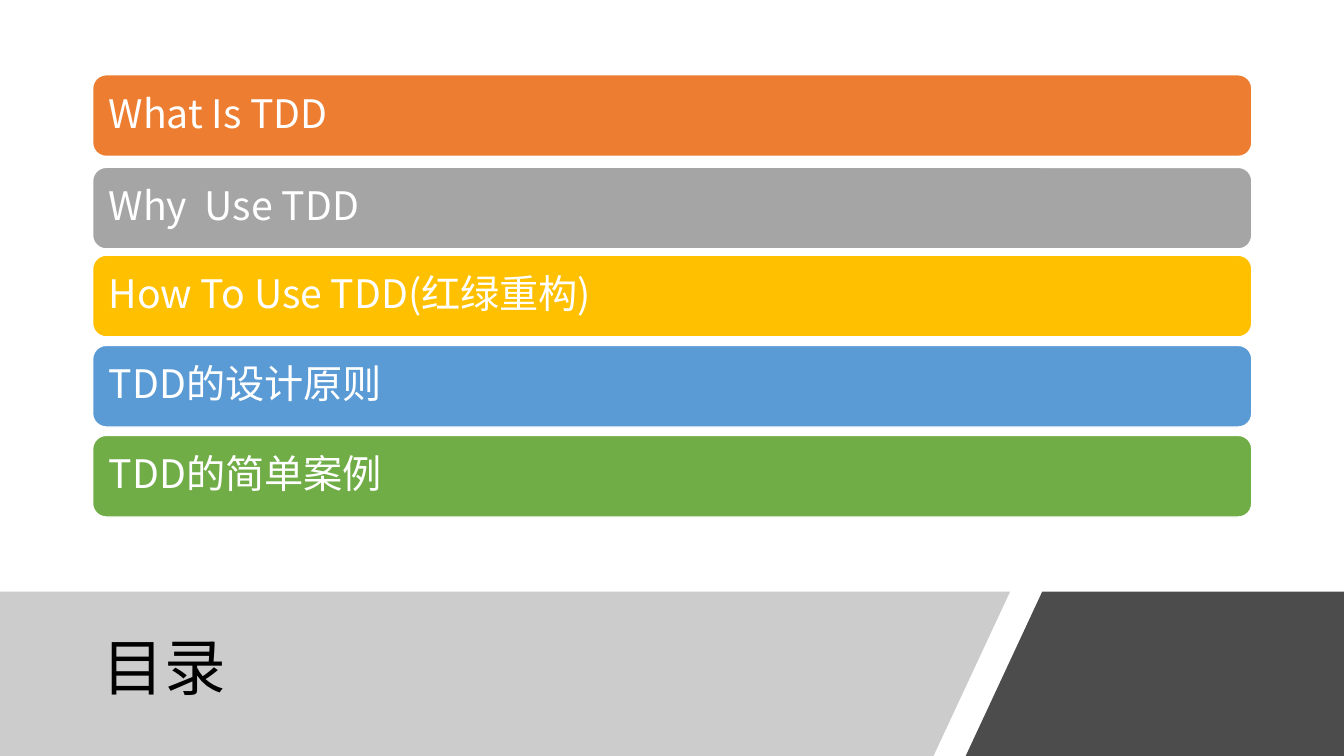
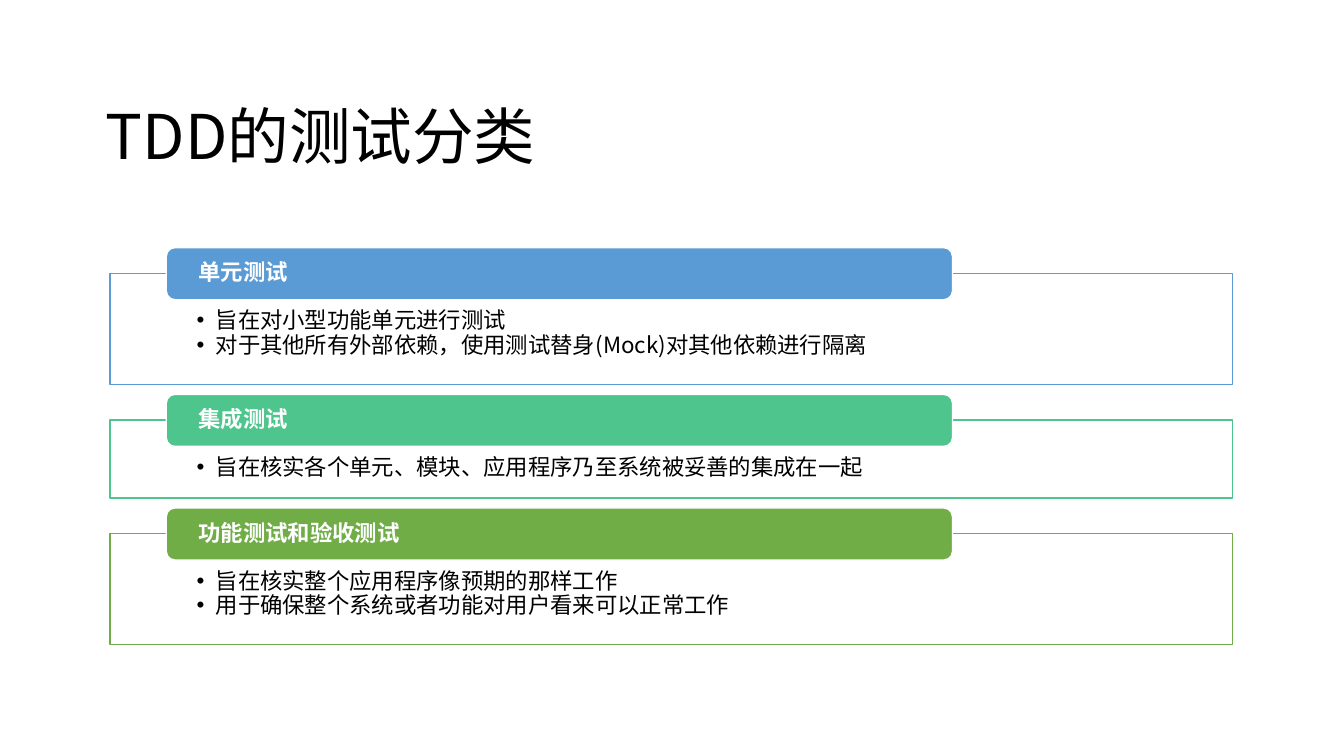
from dataclasses import dataclass
from typing import Optional, Sequence

import lxml.etree
import pptx
import pptx.dml.color
import pptx.dml.fill
import pptx.enum.shapes
import pptx.enum.text
import pptx.oxml.ns
import pptx.shapes.autoshape
import pptx.slide
import pptx.text.text
import pptx.util

Pt = pptx.util.Pt
qn = pptx.oxml.ns.qn
Shape = pptx.shapes.autoshape.Shape
Slide = pptx.slide.Slide


@dataclass(frozen=True)
class Theme:
    """Page size, colours and type shared by all slides."""
    page_width: float = 960
    page_height: float = 540
    font: str = "Noto Sans CJK SC"
    title_size: float = 44
    agenda_size: float = 28
    detail_size: float = 16
    line_spacing: float = 0.9
    rule_width: float = 1
    ink: str = "000000"
    paper: str = "FFFFFF"
    band_gray: str = "808080"
    orange: str = "ED7D31"
    gray: str = "A5A5A5"
    gold: str = "FFC000"
    blue: str = "5B9BD5"
    green: str = "70AD47"
    mint: str = "4DC58D"


THEME = Theme()


@dataclass(frozen=True)
class Box:
    """A frame in points."""
    left: float
    top: float
    width: float
    height: float


@dataclass(frozen=True)
class Insets:
    """Text margins of a frame in points."""
    left: float
    top: float
    right: float
    bottom: float


@dataclass(frozen=True)
class Lettering:
    """Size, colour and weight of a text."""
    size: float
    color: str
    bold: bool = False


@dataclass(frozen=True)
class Band:
    """A slanted footer band."""
    corners: Sequence[tuple[float, float]]
    color: str
    opacity: int


@dataclass(frozen=True)
class AgendaItem:
    """A coloured bar of the agenda."""
    topic: str
    top: float
    color: str


@dataclass(frozen=True)
class TestKind:
    """A kind of test with its aims."""
    name: str
    color: str
    aims: Sequence[str]


TITLE_STYLE = Lettering(THEME.title_size, THEME.ink)
AGENDA_STYLE = Lettering(THEME.agenda_size, THEME.paper)
HEADING_STYLE = Lettering(THEME.detail_size, THEME.paper, bold=True)
AIM_STYLE = Lettering(THEME.detail_size, THEME.ink, bold=False)
TITLE_INSETS = Insets(7.2, 3.6, 7.2, 3.6)

BAND_TOP = 422.6
BAND_SLANT = 54.7
BAND_GAP = 23
BAND_SPLIT = 721.5
RIGHT_START = BAND_SPLIT + BAND_GAP
BANDS = (
    Band(((0, BAND_TOP), (BAND_SPLIT, BAND_TOP),
          (BAND_SPLIT - BAND_SLANT, THEME.page_height), (0, THEME.page_height)),
         THEME.band_gray, 40),
    Band(((RIGHT_START, BAND_TOP), (THEME.page_width, BAND_TOP),
          (THEME.page_width, THEME.page_height),
          (RIGHT_START - BAND_SLANT, THEME.page_height)),
         THEME.ink, 70),
)

AGENDA = (
    AgendaItem("What Is TDD", 53.4, THEME.orange),
    AgendaItem("Why  Use TDD", 119.5, THEME.gray),
    AgendaItem("How To Use TDD(红绿重构)", 182.3, THEME.gold),
    AgendaItem("TDD的设计原则", 246.7, THEME.blue),
    AgendaItem("TDD的简单案例", 311, THEME.green),
)

TEST_KINDS = (
    TestKind("单元测试", THEME.blue, (
        "旨在对小型功能单元进行测试",
        "对于其他所有外部依赖，使用测试替身(Mock)对其他依赖进行隔离")),
    TestKind("集成测试", THEME.mint, (
        "旨在核实各个单元、模块、应用程序乃至系统被妥善的集成在一起",)),
    TestKind("功能测试和验收测试", THEME.green, (
        "旨在核实整个应用程序像预期的那样工作",
        "用于确保整个系统或者功能对用户看来可以正常工作")),
)


def rgb(code: str) -> pptx.dml.color.RGBColor:
    """Turn a hex code into a colour."""
    return pptx.dml.color.RGBColor.from_string(code)


def paint(shape: Shape, color: str, outline: Optional[str] = None,
          opacity: int = 100) -> None:
    """Give a shape its fill, opacity in percent and outline."""
    shape.fill.solid()
    shape.fill.fore_color.rgb = rgb(color)
    if opacity < 100:
        tint = shape.element.spPr.find(qn("a:solidFill"))[0]
        lxml.etree.SubElement(tint, qn("a:alpha"), val=str(opacity * 1000))
    if outline is None:
        shape.line.fill.background()
    else:
        shape.line.color.rgb = rgb(outline)
        shape.line.width = Pt(THEME.rule_width)


def place(shape: Shape, box: Box) -> None:
    """Move a placeholder to a box."""
    shape.left, shape.top = Pt(box.left), Pt(box.top)
    shape.width, shape.height = Pt(box.width), Pt(box.height)


def add_bullet(paragraph: pptx.text.text._Paragraph, indent: float) -> None:
    """Give a paragraph a hanging bullet."""
    properties = paragraph._p.get_or_add_pPr()
    properties.set("marL", str(int(Pt(indent))))
    properties.set("indent", str(-int(Pt(indent))))
    lxml.etree.SubElement(properties, qn("a:buFont"), typeface="Arial")
    lxml.etree.SubElement(properties, qn("a:buChar"), char="•")


def write(shape: Shape, lines: Sequence[str], lettering: Lettering, insets: Insets,
          anchor: pptx.enum.text.MSO_ANCHOR = pptx.enum.text.MSO_ANCHOR.MIDDLE,
          bullet_indent: float = 0) -> None:
    """Write lines into a shape, one paragraph each."""
    frame = shape.text_frame
    frame.word_wrap = True
    frame.auto_size = pptx.enum.text.MSO_AUTO_SIZE.NONE
    frame.vertical_anchor = anchor
    frame.margin_left, frame.margin_top = Pt(insets.left), Pt(insets.top)
    frame.margin_right, frame.margin_bottom = Pt(insets.right), Pt(insets.bottom)
    for index, line in enumerate(lines):
        paragraph = frame.add_paragraph() if index else frame.paragraphs[0]
        paragraph.alignment = pptx.enum.text.PP_ALIGN.LEFT
        paragraph.line_spacing = THEME.line_spacing
        paragraph.space_before = paragraph.space_after = Pt(0)
        if bullet_indent:
            add_bullet(paragraph, bullet_indent)
        run = paragraph.add_run()
        run.text = line
        run.font.size = Pt(lettering.size)
        run.font.bold = lettering.bold
        run.font.color.rgb = rgb(lettering.color)
        run.font.name = THEME.font
        lxml.etree.SubElement(run._r.get_or_add_rPr(), qn("a:ea"), typeface=THEME.font)


def set_title(slide: Slide, title: str, box: Box) -> None:
    """Fill and place the title placeholder."""
    place(slide.shapes.title, box)
    write(slide.shapes.title, [title], TITLE_STYLE, TITLE_INSETS)


def add_band(slide: Slide, band: Band) -> None:
    """Draw a footer band behind everything else."""
    corners = [(Pt(x), Pt(y)) for x, y in band.corners]
    builder = slide.shapes.build_freeform(*corners[0])
    builder.add_line_segments(corners[1:], close=True)
    shape = builder.convert_to_shape()
    shape.shadow.inherit = False
    paint(shape, band.color, opacity=band.opacity)
    slide.shapes.element.insert(2, shape.element)


def add_bar(slide: Slide, box: Box, label: str, color: str,
            lettering: Lettering, side_inset: float) -> None:
    """Draw a rounded bar with a label."""
    bar = slide.shapes.add_shape(
        pptx.enum.shapes.MSO_SHAPE.ROUNDED_RECTANGLE,
        Pt(box.left), Pt(box.top), Pt(box.width), Pt(box.height))
    bar.shadow.inherit = False
    paint(bar, color, outline=THEME.paper)
    write(bar, [label], lettering, Insets(side_inset, 0, side_inset, 0))


def build_agenda(deck: pptx.presentation.Presentation) -> None:
    """Build the agenda slide."""
    slide = deck.slides.add_slide(deck.slide_layouts.get_by_name("Title Only"))
    set_title(slide, "目录", Box(66.2, 435.6, 607.7, 86.4))
    for band in BANDS:
        add_band(slide, band)
    for item in AGENDA:
        add_bar(slide, Box(66.2, item.top, 828, 58.3), item.topic, item.color,
                AGENDA_STYLE, side_inset=8.7)


def build_test_kinds(deck: pptx.presentation.Presentation) -> None:
    """Build the slide on kinds of tests."""
    slide = deck.slides.add_slide(deck.slide_layouts.get_by_name("Comparison"))
    set_title(slide, "TDD的测试分类", Box(68.4, 47.5, 823, 104.4))
    panels = [holder for holder in slide.placeholders
              if holder.placeholder_format.idx > 0]
    top = 195.2
    for kind, panel in zip(TEST_KINDS, panels):
        height = 32 + 23.65 * len(kind.aims)
        place(panel, Box(78.5, top, 802, height))
        paint(panel, THEME.paper, outline=kind.color, opacity=90)
        write(panel, kind.aims, AIM_STYLE, Insets(61.9, 25.9, 61.9, 8.6),
              pptx.enum.text.MSO_ANCHOR.TOP, bullet_indent=13.7)
        add_bar(slide, Box(118.8, top - 18.3, 561.6, 37.2), kind.name, kind.color,
                HEADING_STYLE, side_inset=21.2)
        top += height + 25.5
    for spare in panels[len(TEST_KINDS):]:
        slide.shapes.element.remove(spare.element)


def main() -> None:
    """Build and save the deck."""
    deck = pptx.Presentation()
    deck.slide_width, deck.slide_height = Pt(THEME.page_width), Pt(THEME.page_height)
    build_agenda(deck)
    build_test_kinds(deck)
    deck.save("out.pptx")


main()
